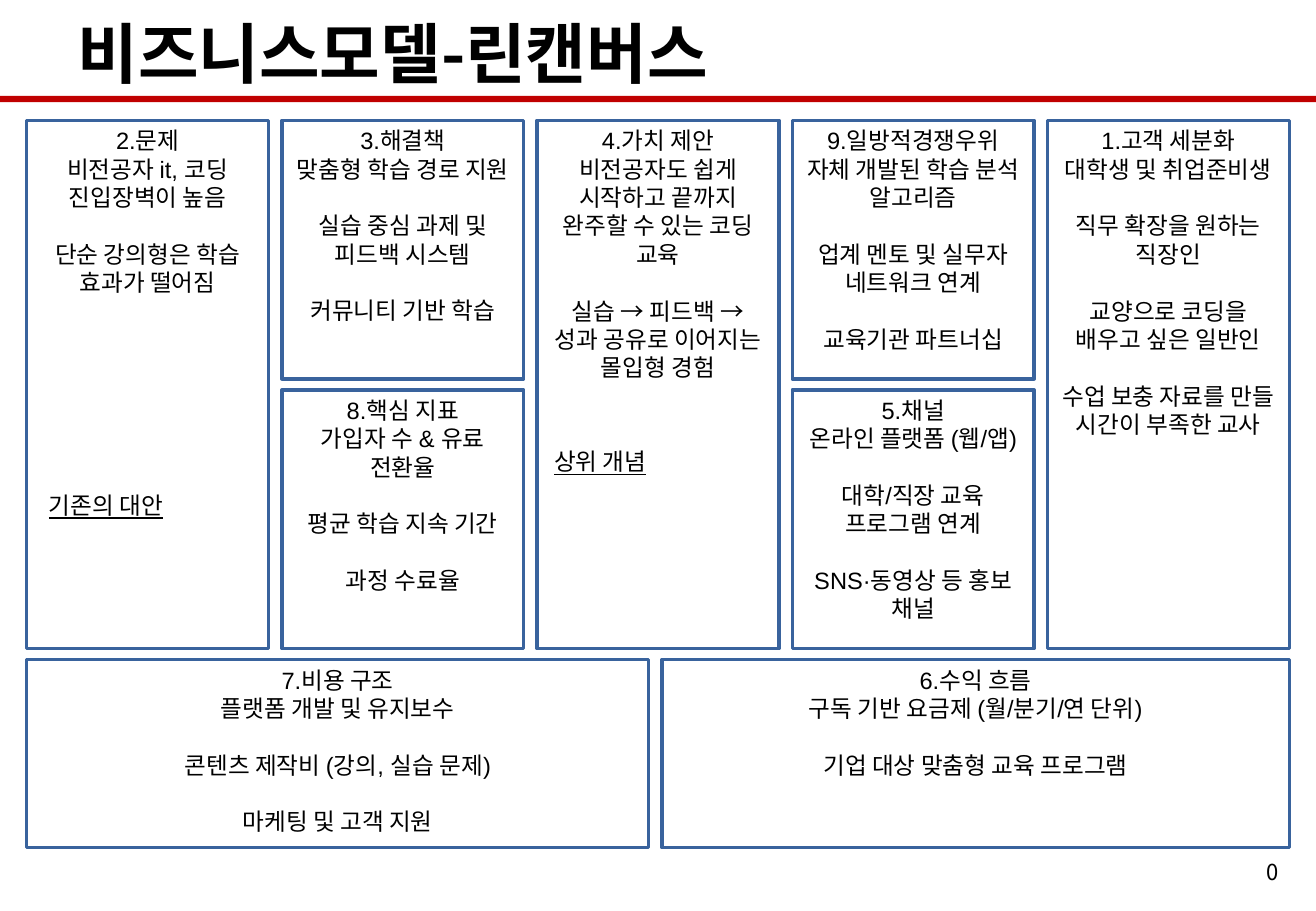
from dataclasses import dataclass

from lxml import etree
from pptx import Presentation
from pptx.dml.color import RGBColor
from pptx.enum.shapes import MSO_SHAPE
from pptx.enum.text import MSO_ANCHOR, MSO_AUTO_SIZE, PP_ALIGN
from pptx.oxml.ns import qn
from pptx.util import Inches, Pt

RECT = MSO_SHAPE.RECTANGLE
TOP, MIDDLE = MSO_ANCHOR.TOP, MSO_ANCHOR.MIDDLE
LEFT, CENTER, RIGHT = PP_ALIGN.LEFT, PP_ALIGN.CENTER, PP_ALIGN.RIGHT

COLORS = {"bar": "C00000", "line": "39639D", "text": "000000", "box": "FFFFFF"}
LATIN, KOREAN = "Arial", "Noto Sans CJK KR"
SLIDE_W, SLIDE_H = 10.83, 7.5

# Canvas grid in inches
GRID_LEFT, GRID_TOP = 0.22, 0.99
COL_W, COL_GAP = 1.99, 0.11
COL_PITCH = COL_W + COL_GAP
ROW_HEIGHTS, ROW_GAP = (2.13, 2.13, 1.55), 0.09
LINE_PT = 16.8


@dataclass
class Block:
    """A canvas box: grid place, heading and its separate points."""
    col: float
    row: int
    heading: str
    points: list[str]
    cols: float = 1
    rows: int = 1


@dataclass
class Label:
    col: float
    top: float
    text: str


BLOCKS = [
    Block(0, 0, "2.문제", ["비전공자 it, 코딩 진입장벽이 높음", "단순 강의형은 학습 효과가 떨어짐"], rows=2),
    Block(2, 0, "4.가치 제안", ["비전공자도 쉽게 시작하고 끝까지 완주할 수 있는 코딩 교육",
                            "실습 → 피드백 → 성과 공유로 이어지는 몰입형 경험"], rows=2),
    Block(4, 0, "1.고객 세분화", ["대학생 및 취업준비생", "직무 확장을 원하는 직장인",
                             "교양으로 코딩을 배우고 싶은 일반인",
                             "수업 보충 자료를 만들 시간이 부족한 교사"], rows=2),
    Block(1, 0, "3.해결책", ["맞춤형 학습 경로 지원", "실습 중심 과제 및 피드백 시스템", "커뮤니티 기반 학습"]),
    Block(1, 1, "8.핵심 지표", ["가입자 수 & 유료 전환율", "평균 학습 지속 기간", "과정 수료율"]),
    Block(3, 0, "9.일방적경쟁우위", ["자체 개발된 학습 분석 알고리즘", "업계 멘토 및 실무자 네트워크 연계",
                              "교육기관 파트너십"]),
    Block(3, 1, "5.채널", ["온라인 플랫폼 (웹/앱)", "대학/직장 교육 프로그램 연계", "SNS·동영상 등 홍보 채널"]),
    Block(0, 2, "7.비용 구조", ["플랫폼 개발 및 유지보수", "콘텐츠 제작비 (강의, 실습 문제)",
                            "마케팅 및 고객 지원"], cols=2.49),
    Block(2.49, 2, "6.수익 흐름", ["구독 기반 요금제 (월/분기/연 단위)",
                               "기업 대상 맞춤형 교육 프로그램"], cols=2.51),
]
LABELS = [Label(0.04, 3.99, "기존의 대안"), Label(2.02, 3.63, "상위 개념")]


def rgb(name: str) -> RGBColor:
    return RGBColor.from_string(COLORS[name])


def format_paragraph(p, text: str, size: float, latin: str, align: PP_ALIGN) -> None:
    p.text = text
    p.alignment = align
    p.font.size = Pt(size)
    p.font.name = latin
    p.font.color.rgb = rgb("text")
    props = p.font._element
    props.find(qn("a:latin")).addnext(etree.Element(qn("a:ea"), typeface=KOREAN))


def add_rect(s, left: float, top: float, width: float, height: float, fill: str):
    sp = s.shapes.add_shape(RECT, Inches(left), Inches(top), Inches(width), Inches(height))
    sp.shadow.inherit = False
    sp.fill.solid()
    sp.fill.fore_color.rgb = rgb(fill)
    sp.line.fill.background()
    return sp


def add_block(s, block: Block) -> None:
    left = GRID_LEFT + block.col * COL_PITCH
    top = GRID_TOP + sum(ROW_HEIGHTS[:block.row]) + block.row * ROW_GAP
    width = block.cols * COL_PITCH - COL_GAP
    height = sum(ROW_HEIGHTS[block.row:block.row + block.rows]) + (block.rows - 1) * ROW_GAP
    sp = add_rect(s, left, top, width, height, "box")
    sp.line.color.rgb = rgb("line")
    sp.line.width = Pt(2)
    tf = sp.text_frame
    tf.word_wrap = True
    tf.vertical_anchor = TOP
    for i, text in enumerate([block.heading, *block.points]):
        p = tf.paragraphs[0] if i == 0 else tf.add_paragraph()
        format_paragraph(p, text, 14, LATIN, CENTER)
        p.line_spacing = Pt(LINE_PT)
        p.space_before = Pt(LINE_PT if i > 1 else 0)


def add_text(s, left: float, top: float, width: float, height: float):
    sp = s.shapes.add_textbox(Inches(left), Inches(top), Inches(width), Inches(height))
    sp.text_frame.word_wrap = True
    return sp.text_frame


def add_label(s, label: Label) -> None:
    tf = add_text(s, GRID_LEFT + label.col * COL_PITCH, label.top, 1.73, 0.94)
    p = tf.paragraphs[0]
    format_paragraph(p, label.text, 14, LATIN, LEFT)
    p.line_spacing = Pt(LINE_PT)
    p.font.underline = True


def add_title(s, text: str) -> None:
    title = s.shapes.title
    title.left, title.top = Inches(0.54), Inches(0.05)
    title.width, title.height = Inches(0.9 * SLIDE_W), Inches(0.76)
    tf = title.text_frame
    tf.auto_size = MSO_AUTO_SIZE.NONE
    tf.vertical_anchor = MIDDLE
    p = tf.paragraphs[0]
    format_paragraph(p, text, 39, KOREAN, LEFT)
    p.font.bold = True


def add_page_number(s, number: str) -> None:
    tf = add_text(s, 8.09, 6.98, 2.53, 0.4)
    tf.vertical_anchor = MIDDLE
    format_paragraph(tf.paragraphs[0], number, 13, KOREAN, RIGHT)


def main() -> None:
    prs = Presentation()
    prs.slide_width, prs.slide_height = Inches(SLIDE_W), Inches(SLIDE_H)
    s = prs.slides.add_slide(prs.slide_layouts[5])
    add_rect(s, 0, 0.79, SLIDE_W, 0.05, "bar")
    add_title(s, "비즈니스모델-린캔버스")
    add_page_number(s, "0")
    for block in BLOCKS:
        add_block(s, block)
    for label in LABELS:
        add_label(s, label)
    prs.save("out.pptx")


if __name__ == "__main__":
    main()
